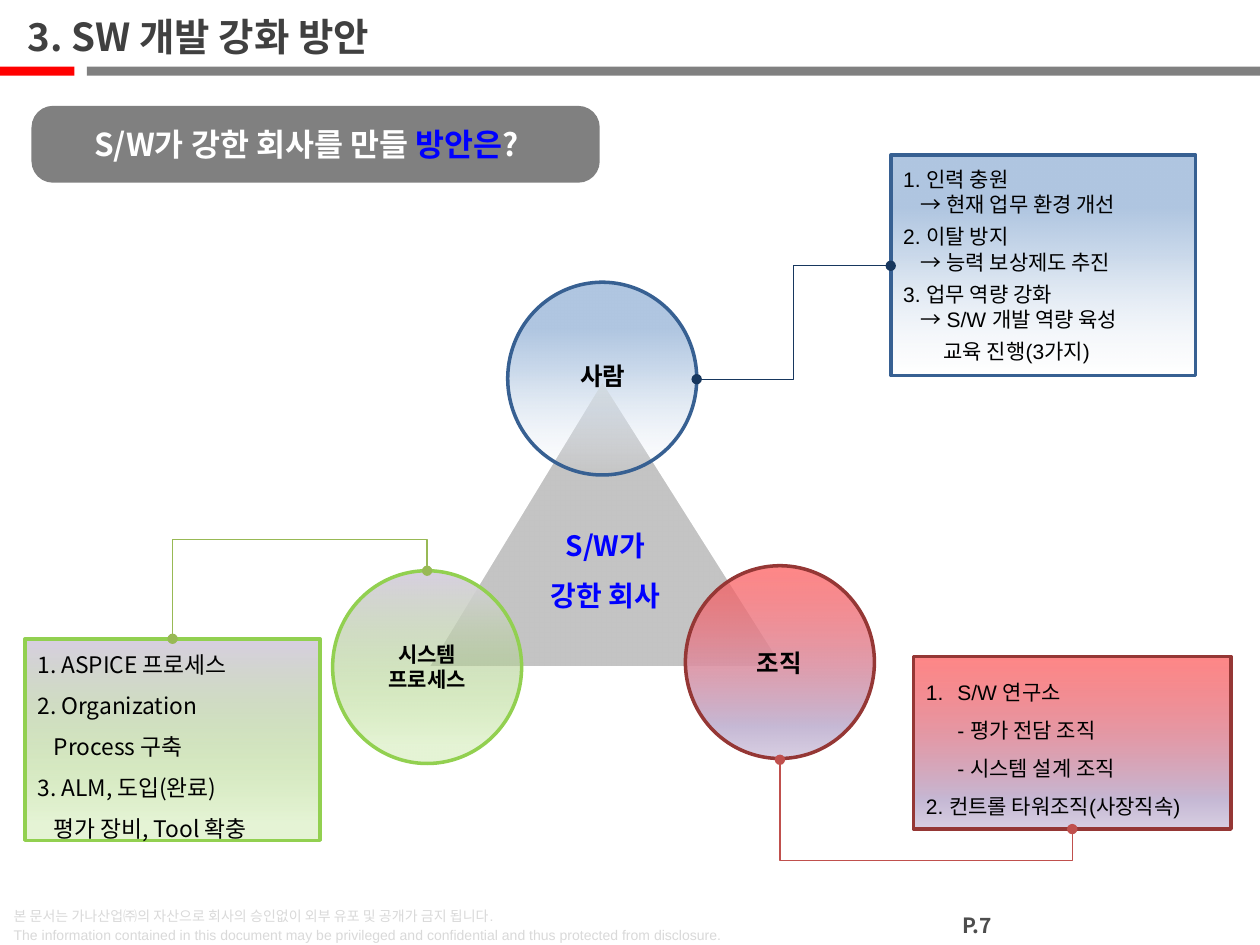
"""Build the slide on strengthening software development: a triangle of three themes with notes."""
from lxml import etree
from pptx import Presentation
from pptx.dml.color import RGBColor
from pptx.enum.shapes import MSO_CONNECTOR, MSO_SHAPE
from pptx.enum.text import MSO_ANCHOR, PP_ALIGN
from pptx.oxml import parse_xml
from pptx.oxml.ns import nsdecls, qn
from pptx.util import Inches, Pt

RECTANGLE, ROUNDED = MSO_SHAPE.RECTANGLE, MSO_SHAPE.ROUNDED_RECTANGLE
TRIANGLE, CIRCLE = MSO_SHAPE.ISOSCELES_TRIANGLE, MSO_SHAPE.FLOWCHART_CONNECTOR
ELBOW = MSO_CONNECTOR.ELBOW
LEFT, CENTER = PP_ALIGN.LEFT, PP_ALIGN.CENTER
TOP, MIDDLE = MSO_ANCHOR.TOP, MSO_ANCHOR.MIDDLE

BLACK = RGBColor(0x00, 0x00, 0x00)
WHITE = RGBColor(0xFF, 0xFF, 0xFF)
RED = RGBColor(0xFF, 0x00, 0x00)
BLUE = RGBColor(0x00, 0x00, 0xFF)
GRAY = RGBColor(0x80, 0x80, 0x80)
PALE_GRAY = RGBColor(0xD9, 0xD9, 0xD9)
TITLE_GRAY = RGBColor(0x40, 0x40, 0x40)
PAGE_GRAY = RGBColor(0x4D, 0x4D, 0x4D)
PEOPLE_LINE = RGBColor(0x37, 0x60, 0x92)
TEAM_LINE = RGBColor(0x95, 0x37, 0x35)
SYSTEM_LINE = RGBColor(0x92, 0xD0, 0x50)
PEOPLE_LINK = RGBColor(0x17, 0x37, 0x5E)
TEAM_LINK = RGBColor(0xC0, 0x50, 0x4D)
SYSTEM_LINK = RGBColor(0x98, 0xB9, 0x55)

CORE_FILL = [(0, "E8D8AA", 100), (11, "A6A6A6", 66)]
PEOPLE_FILL = [(0, "B0C6E1", 100), (24, "B0C6E1", 100), (45, "CAD9EB", 100), (100, "EDF2F8", 0)]
TEAM_FILL = [(0, "FF4D4D", 67), (83, "C6B9D5", 100), (100, "D9D0E3", 100)]
SYSTEM_FILL = [(0, "D9D0E3", 100), (91, "92D050", 23)]
SANS, NOTO = "Arial", "Noto Sans CJK KR"

presentation = Presentation()
presentation.slide_width, presentation.slide_height = Inches(10), Inches(7.5)
slide = presentation.slides.add_slide(presentation.slide_layouts[6])
COLUMN = presentation.slide_width / 10
ROW = presentation.slide_height / 7.5


def add_box(geometry, left, top, width, height, fill, line=None):
    frame = [int(left * COLUMN), int(top * ROW), int(width * COLUMN), int(height * ROW)]
    shape = slide.shapes.add_shape(geometry, *frame)
    shape.shadow.inherit = False
    if isinstance(fill, RGBColor):
        shape.fill.solid()
        shape.fill.fore_color.rgb = fill
    else:
        stops = "".join(
            f'<a:gs pos="{position * 1000}"><a:srgbClr val="{color}">'
            f'<a:alpha val="{alpha * 1000}"/></a:srgbClr></a:gs>'
            for position, color, alpha in fill)
        shape.fill.background()
        properties = shape._element.spPr
        properties.replace(properties.find(qn("a:noFill")), parse_xml(
            f'<a:gradFill {nsdecls("a")} rotWithShape="1"><a:gsLst>{stops}</a:gsLst>'
            '<a:lin ang="5400000" scaled="0"/></a:gradFill>'))
    if line is None:
        shape.line.fill.background()
    else:
        shape.line.color.rgb = line
        shape.line.width = Pt(2)
    return shape


def write(shape, paragraphs, size, font, color, bold=False, align=LEFT, anchor=MIDDLE,
          spacing=None, before=0):
    frame = shape.text_frame
    frame.word_wrap = True
    frame.vertical_anchor = anchor
    for index, (text, margin, indent, number) in enumerate(paragraphs):
        paragraph = frame.add_paragraph() if index else frame.paragraphs[0]
        paragraph.text = text
        paragraph.alignment = align
        paragraph.space_before = Pt(before if index else 0)
        if spacing:
            paragraph.line_spacing = spacing
        properties = paragraph._p.get_or_add_pPr()
        properties.set("marL", str(int(margin * COLUMN)))
        properties.set("indent", str(int(indent * COLUMN)))
        if number:
            etree.SubElement(properties, qn("a:buFont"), typeface=font)
            etree.SubElement(properties, qn("a:buAutoNum"), type="arabicPeriod")
        paragraph.font.size = Pt(size)
        paragraph.font.bold = bold
        paragraph.font.color.rgb = color
        paragraph.font.name = font
        etree.SubElement(properties.find(qn("a:defRPr")), qn("a:ea"), typeface=NOTO)


add_box(RECTANGLE, 0, 0.53, 0.59, 0.07, RED)
add_box(RECTANGLE, 0.69, 0.53, 9.31, 0.07, GRAY)

add_box(TRIANGLE, 3.39, 3.01, 2.84, 2.29, CORE_FILL, WHITE).adjustments[0] = 0.49
for left, top, fill, line in [
    (4.03, 2.24, PEOPLE_FILL, PEOPLE_LINE),
    (5.44, 4.49, TEAM_FILL, TEAM_LINE),
    (2.64, 4.53, SYSTEM_FILL, SYSTEM_LINE),
]:
    add_box(CIRCLE, left, top, 1.5, 1.53, fill, line)

for left, top, width, height, lines, size, font, color, bold, align, anchor, spacing in [
    (0.01, 7.13, 7.4, 0.41,
     ["본 문서는 가나산업㈜의 자산으로 회사의 승인없이 외부 유포 및 공개가 금지 됩니다.",
      "The information contained in this document may be privileged and confidential "
      "and thus protected from disclosure."],
     8, SANS, PALE_GRAY, False, LEFT, TOP, Pt(11)),
    (7.36, 7.19, 0.79, 0.31, ["P.7"], 12, NOTO, PAGE_GRAY, True, CENTER, TOP, None),
    (0.12, 0.05, 9.52, 0.47, ["3. SW 개발 강화 방안"], 22, NOTO, TITLE_GRAY, True, LEFT, MIDDLE, None),
    (4.35, 2.82, 0.87, 0.34, ["사람"], 14, NOTO, BLACK, True, CENTER, TOP, None),
    (2.85, 5.04, 1.08, 0.5, ["시스템", "프로세스"], 12, NOTO, BLACK, True, CENTER, TOP, None),
    (5.75, 5.09, 0.87, 0.34, ["조직"], 14, NOTO, BLACK, True, CENTER, TOP, None),
    (3.96, 4.01, 1.69, 0.86, ["S/W가", "강한 회사"], 16, NOTO, BLUE, True, CENTER, TOP, 1.5),
]:
    label = slide.shapes.add_textbox(
        int(left * COLUMN), int(top * ROW), int(width * COLUMN), int(height * ROW))
    write(label, [(line, 0, 0, False) for line in lines], size, font, color, bold, align, anchor, spacing)

people_note = add_box(RECTANGLE, 7.07, 1.23, 2.42, 1.75, PEOPLE_FILL, PEOPLE_LINE)
write(people_note, [
    ("1. 인력 충원\n→ 현재 업무 환경 개선", 0.14, -0.14, False),
    ("2. 이탈 방지\n→ 능력 보상제도 추진", 0.14, -0.14, False),
    ("3. 업무 역량 강화\n→ S/W 개발 역량 육성", 0.14, -0.14, False),
    ("교육 진행(3가지)", 0.32, 0, False),
], 12, SANS, BLACK, before=4)

team_note = add_box(RECTANGLE, 7.25, 5.21, 2.52, 1.37, TEAM_FILL, TEAM_LINE)
write(team_note, [
    ("S/W 연구소\n- 평가 전담 조직\n- 시스템 설계 조직", 0.25, -0.25, True),
    ("2. 컨트롤 타워조직(사장직속)", 0, 0, False),
], 12, SANS, BLACK, spacing=1.5)

system_note = add_box(RECTANGLE, 0.2, 5.07, 2.34, 1.6, SYSTEM_FILL, SYSTEM_LINE)
write(system_note, [
    ("1. ASPICE 프로세스", 0, 0, False),
    ("2. Organization", 0, 0, False),
    ("Process 구축", 0.13, 0, False),
    ("3. ALM, 도입(완료)", 0, 0, False),
    ("평가 장비, Tool 확충", 0.13, 0, False),
], 13, NOTO, BLACK, spacing=1.5)

banner = add_box(ROUNDED, 0.25, 0.84, 4.51, 0.61, GRAY)
banner.adjustments[0] = 0.28
write(banner, [("", 0.35, 0, False)], 18, NOTO, WHITE, bold=True)
for text, color in [("S/W가 강한 회사를 만들 ", WHITE), ("방안은", BLUE), ("?", WHITE)]:
    run = banner.text_frame.paragraphs[0].add_run()
    run.text = text
    run.font.color.rgb = color

for begin, end, quarter_turns, bend, color in [
    ((3.39, 4.53), (1.37, 5.07), 3, -0.46, SYSTEM_LINK),
    ((7.07, 2.11), (5.53, 3.01), 0, 0.5, PEOPLE_LINK),
    ((8.51, 6.58), (6.19, 6.03), 1, -0.45, TEAM_LINK),
]:
    middle_x, middle_y = (begin[0] + end[0]) / 2, (begin[1] + end[1]) / 2
    offset_x, offset_y = begin[0] - middle_x, begin[1] - middle_y
    for turn in range(quarter_turns):
        offset_x, offset_y = offset_y, -offset_x
    connector = slide.shapes.add_connector(
        ELBOW,
        int((middle_x + offset_x) * COLUMN), int((middle_y + offset_y) * ROW),
        int((middle_x - offset_x) * COLUMN), int((middle_y - offset_y) * ROW))
    connector.line.color.rgb = color
    connector.line.width = Pt(0.75)
    properties = connector._element.spPr
    properties.find(qn("a:xfrm")).set("rot", str(quarter_turns * 5400000))
    guides = properties.find(qn("a:prstGeom")).get_or_add_avLst()
    etree.SubElement(guides, qn("a:gd"), name="adj1", fmla=f"val {round(bend * 100000)}")
    outline = connector.line._get_or_add_ln()
    for tag in ("a:headEnd", "a:tailEnd"):
        etree.SubElement(outline, qn(tag), type="oval")
    etree.SubElement(properties, qn("a:effectLst"))

presentation.save("out.pptx")
